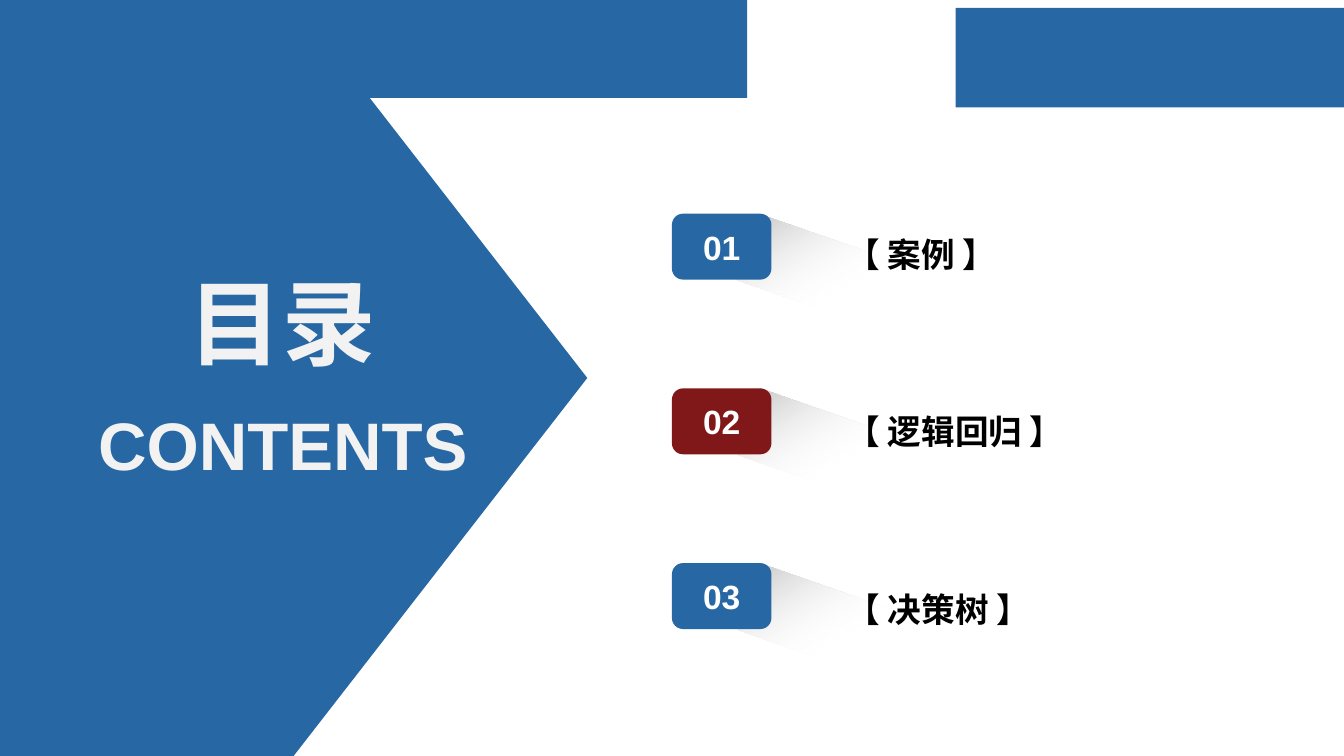
from pptx import Presentation
from pptx.dml.color import RGBColor
from pptx.enum import shapes, text
from pptx.oxml import parse_xml
from pptx.oxml.ns import nsdecls
from pptx.util import Inches, Pt

BLUE = RGBColor(0x26, 0x67, 0xA4)
RED = RGBColor(0x80, 0x18, 0x19)
PALE = RGBColor(0xF2, 0xF2, 0xF2)
WHITE = RGBColor(0xFF, 0xFF, 0xFF)
BLACK = RGBColor(0, 0, 0)
KIND = shapes.MSO_SHAPE
MID = text.PP_ALIGN.CENTER
WIDE = 10
HIGH = WIDE * 9 / 16

# Content
ITEMS = [
    ("01", "【 案例 】", BLUE),
    ("02", "【 逻辑回归 】", RED),
    ("03", "【 决策树 】", BLUE),
]
# words, place, size, side inset, top inset
HEADS = [
    ("CONTENTS", (0.45, 3, 3.31, 0.61), 36, 0, 0),
    ("目录", (0.86, 1.93, 2.48, 0.91), 50, 0.07, 0.04),
]
BANDS = [
    (KIND.RECTANGLE, (7.11, 0.06, 2.89, 0.74)),
    (KIND.RECTANGLE, (2.17, 0, 3.39, 0.73)),
    (KIND.PENTAGON, (0, 0, 4.37, HIGH)),
]
TOP, STEP = 1.55, 1.3       # number badges
LABEL_STEP = 1.32           # labels beside them

FADE = f"""<a:gradFill {nsdecls('a')} rotWithShape="1"><a:gsLst>
<a:gs pos="0"><a:srgbClr val="BFBFBF"/></a:gs>
<a:gs pos="54000"><a:srgbClr val="FFFFFF"><a:alpha val="0"/></a:srgbClr></a:gs>
</a:gsLst><a:lin ang="2400000" scaled="0"/></a:gradFill>"""

deck = Presentation()
deck.slide_width, deck.slide_height = Inches(WIDE), Inches(HIGH)
slide = deck.slides.add_slide(deck.slide_layouts[6])


def draw(kind, place, fill=None):
    shape = slide.shapes.add_shape(kind, *map(Inches, place))
    shape.shadow.inherit = False
    shape.line.fill.background()
    if fill is None:
        shape.fill.background()
    else:
        shape.fill.solid()
        shape.fill.fore_color.rgb = fill
    return shape


def write(shape, words, size, color, side, edge, align=None):
    frame = shape.text_frame
    frame.word_wrap = True
    frame.margin_left = frame.margin_right = Inches(side)
    frame.margin_top = frame.margin_bottom = Inches(edge)
    para = frame.paragraphs[0]
    para.text = words
    para.alignment = align
    font = para.font
    font.name, font.size, font.bold = "Arial", Pt(size), True
    font.color.rgb = color
    return para


def box(place):
    return slide.shapes.add_textbox(*map(Inches, place))


# Blue bands and the arrow panel
for kind, place in BANDS:
    draw(kind, place, BLUE)

# Headings
for words, place, size, side, edge in HEADS:
    write(box(place), words, size, PALE, side, edge, MID)

# Contents list
for row, (num, label, color) in enumerate(ITEMS):
    top = TOP + row * STEP

    # Slanted cast shade
    shade = draw(KIND.RECTANGLE, (5.53, top + 0.27, 1.46, 0.52))
    shade.rotation = 19.2
    props = shade.fill._xPr
    props.replace(props.find("{*}noFill"), parse_xml(FADE))

    # Badge and its number
    draw(KIND.ROUNDED_RECTANGLE, (5, top + 0.04, 0.74, 0.49), color)
    disc = draw(KIND.OVAL, (4.98, top, 0.78, 0.57))
    write(disc, num, 18, WHITE, 0.06, 0.03, MID)
    disc.text_frame.vertical_anchor = text.MSO_ANCHOR.MIDDLE

    # Label
    spot = (6.23, TOP + row * LABEL_STEP, 2.84, 0.48)
    para = write(box(spot), label, 18, BLACK, 0.07, 0.04)
    para.line_spacing = 1.5

deck.save("out.pptx")
